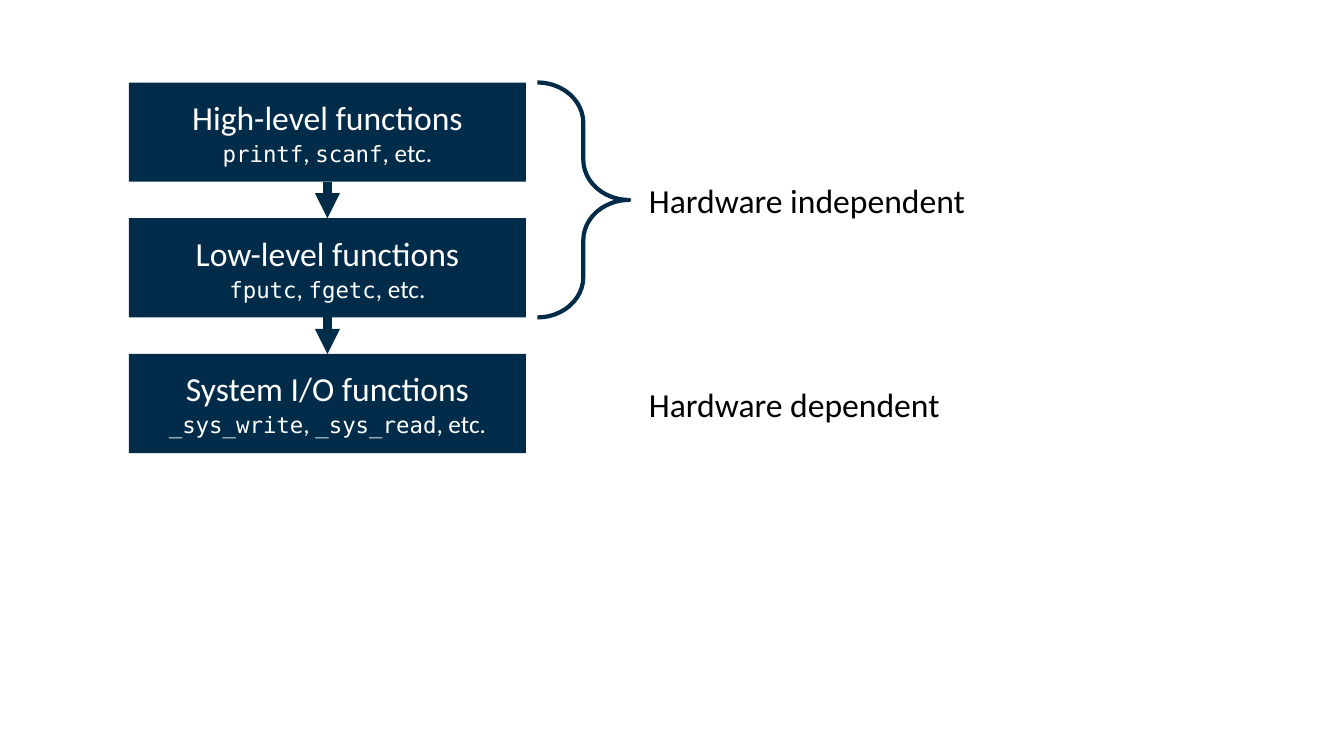
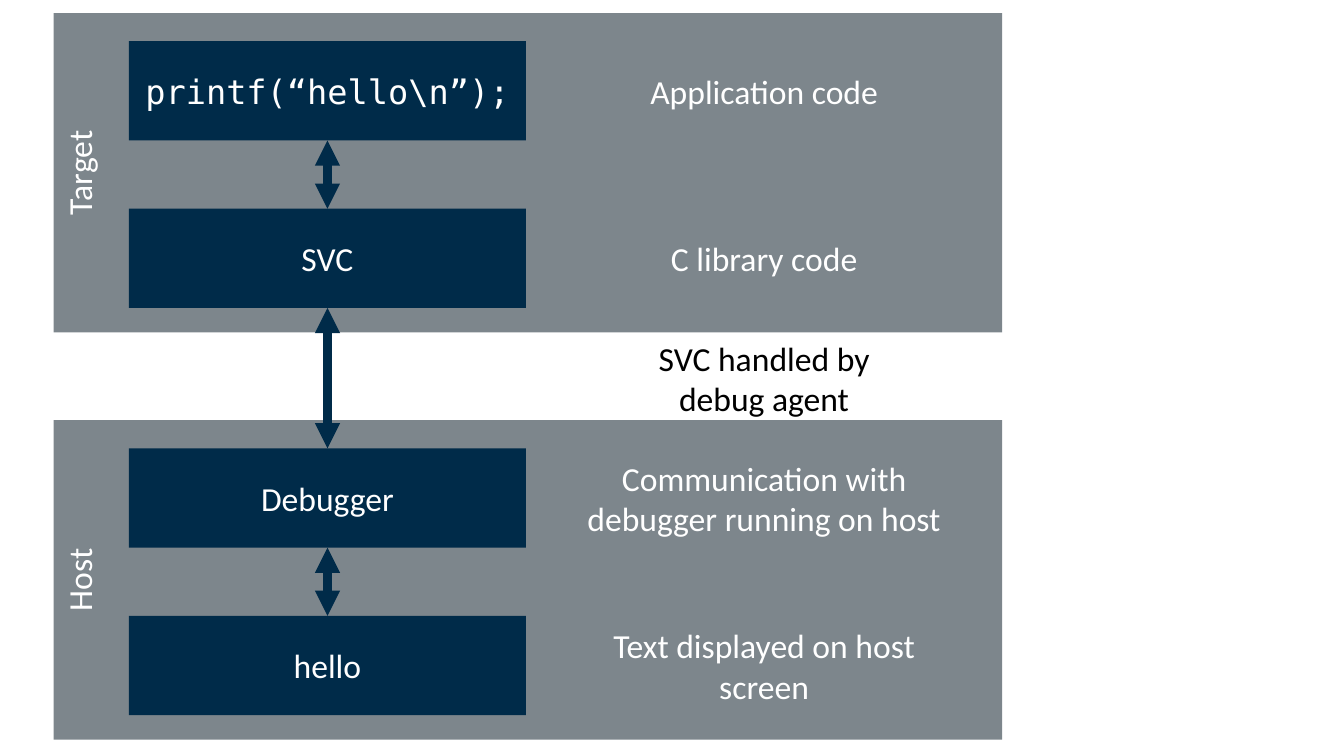
from dataclasses import dataclass
from pptx import Presentation, util as u
from pptx.dml.color import RGBColor
from pptx.enum import shapes, text
from pptx.oxml import ns
from lxml import etree


@dataclass(frozen=True)
class Theme:
    """Colours and type styles shared by the slides."""
    navy = RGBColor.from_string("002B49")
    grey = RGBColor.from_string("7D868C")
    white = RGBColor.from_string("FFFFFF")
    black = RGBColor.from_string("000000")
    main = {"name": "Calibri", "size": u.Pt(24)}
    note = {"name": "Calibri", "size": u.Pt(18)}
    code = {"name": "DejaVu Sans Mono", "size": u.Pt(16)}
    call = {"name": "DejaVu Sans Mono", "size": u.Pt(24)}


look = Theme()
deck = Presentation()
deck.slide_width, deck.slide_height = u.Inches(13.33), u.Inches(7.5)
blank = deck.slide_layouts[6]
wide, high = 10, 2.5
left = 3.25
mid = left + wide / 2


def block(slide, place, lines, fill=None, ink=look.white,
          align=text.PP_ALIGN.CENTER, anchor=text.MSO_ANCHOR.MIDDLE):
    """Place lines of (words, style) runs, on a filled box if fill is given."""
    spot = [u.Cm(n) for n in place]
    if fill is None:
        shape = slide.shapes.add_textbox(*spot)
    else:
        shape = slide.shapes.add_shape(shapes.MSO_SHAPE.RECTANGLE, *spot)
        shape.shadow.inherit = False
        shape.fill.solid()
        shape.fill.fore_color.rgb = fill
        shape.line.fill.background()
    frame = shape.text_frame
    frame.word_wrap = True
    frame.vertical_anchor = anchor
    for i, line in enumerate(lines):
        para = frame.paragraphs[0] if i == 0 else frame.add_paragraph()
        para.alignment = align
        for words, style in line:
            run = para.add_run()
            run.text = words
            run.font.color.rgb = ink
            for key, value in style.items():
                setattr(run.font, key, value)
    return shape


def arrow(slide, top, end, tips):
    """Draw a thick vertical arrow down the middle of the boxes."""
    line = slide.shapes.add_connector(
        shapes.MSO_CONNECTOR.STRAIGHT, *[u.Cm(n) for n in (mid, top, mid, end)])
    line.line.color.rgb = look.navy
    line.line.width = u.Pt(6)
    edge = line.line._get_or_add_ln()
    for tip in tips:
        etree.SubElement(edge, ns.qn(tip), type="triangle")
    etree.SubElement(line.element.spPr, ns.qn("a:effectLst"))


# Layers of the C library
slide = deck.slides.add_slide(blank)
first, step = 2.08, 3.42
layers = [("High-level functions", "printf", "scanf"),
          ("Low-level functions", "fputc", "fgetc"),
          ("System I/O functions", "_sys_write", "_sys_read")]
for i, (name, one, two) in enumerate(layers):
    top = first + i * step
    block(slide, (left, top, wide, high),
          [[(name, look.main)],
           [(one, look.code), (", ", look.note),
            (two, look.code), (", etc.", look.note)]], look.navy)
    if i:
        arrow(slide, top - step + high, top, ["a:tailEnd"])

brace = slide.shapes.add_shape(
    shapes.MSO_SHAPE.RIGHT_BRACE,
    *[u.Cm(n) for n in (13.54, first, 2.31, step + high)])
brace.shadow.inherit = False
brace.fill.background()
brace.line.color.rgb = look.navy
brace.line.width = u.Pt(3)
brace.adjustments[0] = 0.44

for words, row in [("Hardware independent", 0.5), ("Hardware dependent", 2)]:
    block(slide, (16.1, first + row * step, wide, high),
          [[(words, look.main)]], ink=look.black, align=text.PP_ALIGN.LEFT)

# Path of a call from target to host
slide = deck.slides.add_slide(blank)
bands = {"Host": 10.59, "Target": 0.33}
for name, top in bands.items():
    band = block(slide, (1.35, top, 23.9, 8.05), [[(name, look.main)]],
                 look.grey, anchor=text.MSO_ANCHOR.TOP)
    band.element.txBody.find(ns.qn("a:bodyPr")).set("vert", "vert270")

pad, step = 0.71, 4.22
tops = [bands[name] + pad + i * step
        for name in ("Target", "Host") for i in range(2)]
stages = [("printf(“hello\\n”);", look.call, "Application code"),
          ("SVC", look.main, "C library code"),
          ("Debugger", look.main, "Communication with debugger running on host"),
          ("hello", look.main, "Text displayed on host screen")]
for top, (name, style, label) in zip(tops, stages):
    block(slide, (left, top, wide, high), [[(name, style)]], look.navy)
    block(slide, (14.25, top, wide, high), [[(label, look.main)]])
for top, end in zip(tops, tops[1:]):
    arrow(slide, top + high, end, ["a:headEnd", "a:tailEnd"])
block(slide, (14.25, (tops[1] + tops[2]) / 2, wide, high),
      [[("SVC handled by", look.main)], [("debug agent", look.main)]],
      ink=look.black)

deck.save("out.pptx")
